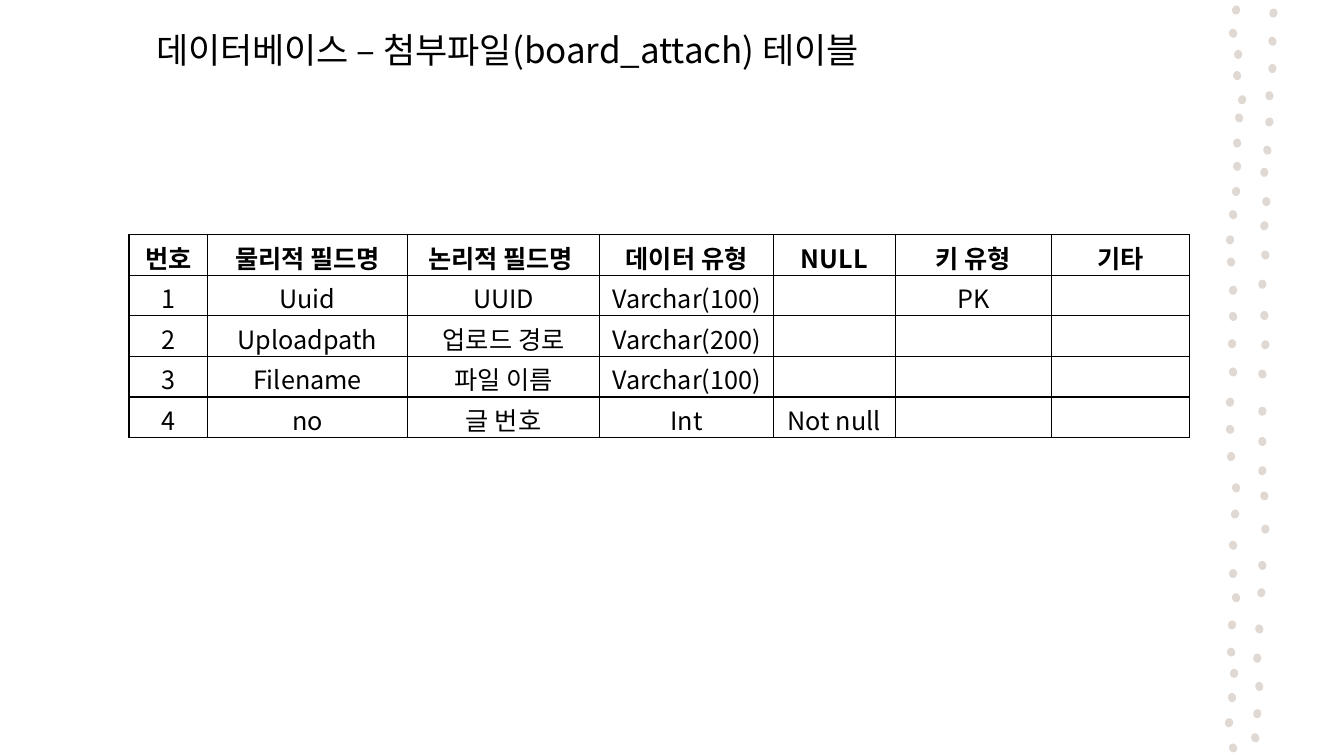
from lxml import etree
from pptx import Presentation
from pptx.dml.color import RGBColor
from pptx.enum import shapes as shape_enum
from pptx.enum import text as text_enum
from pptx.oxml.ns import qn
from pptx.util import Inches, Pt

TITLE = "데이터베이스 – 첨부파일(board_attach) 테이블"
FIELDS = [
    ("번호", "물리적 필드명", "논리적 필드명 ", "데이터 유형", "NULL", "키 유형", "기타"),
    ("1", "Uuid", "UUID", "Varchar(100)", "", "PK", ""),
    ("2", "Uploadpath", "업로드 경로", "Varchar(200)", "", "", ""),
    ("3", "Filename", "파일 이름", "Varchar(100)", "", "", ""),
    ("4", "no", "글 번호", "Int", "Not null", "", ""),
]
COLUMN_WIDTHS = (0.78, 1.98, 1.91, 1.72, 1.21, 1.55, 1.37)
ROW_HEIGHT = 0.4
TABLE_LEFT, TABLE_TOP = 1.28, 2.33

# Centres of the hand-drawn dots, each strand from top to bottom
LEFT_DOTS = [
    (12.26, 0.1), (12.23, 0.33), (12.28, 0.54), (12.27, 0.75), (12.32, 0.99),
    (12.29, 1.17), (12.27, 1.42), (12.27, 1.65), (12.26, 1.9), (12.23, 2.13),
    (12.2, 2.38), (12.21, 2.6), (12.23, 2.88), (12.23, 3.14), (12.22, 3.41),
    (12.23, 3.69), (12.2, 3.99), (12.2, 4.26), (12.21, 4.53), (12.26, 4.84),
    (12.25, 5.1), (12.23, 5.41), (12.23, 5.69), (12.26, 5.93), (12.22, 6.2),
    (12.21, 6.47), (12.24, 6.68), (12.22, 6.92), (12.19, 7.17), (12.23, 7.42),
]
RIGHT_DOTS = [
    (12.63, 0.13), (12.62, 0.41), (12.62, 0.68), (12.59, 0.95), (12.59, 1.21),
    (12.57, 1.49), (12.54, 1.71), (12.56, 2), (12.54, 2.24), (12.55, 2.53),
    (12.52, 2.82), (12.54, 3.13), (12.55, 3.42), (12.52, 3.71), (12.52, 4.08),
    (12.52, 4.38), (12.52, 4.67), (12.54, 4.92), (12.55, 5.25), (12.52, 5.61),
    (12.51, 5.88), (12.49, 6.24), (12.47, 6.53), (12.49, 6.81), (12.47, 7.08),
    (12.45, 7.32),
]
DOT_WIDTH, DOT_HEIGHT = 0.08, 0.09
DOT_TILTS = (15, -20, 5, -10)

COLORS = {"ink": "000000", "paper": "FFFFFF", "dot": "E0D8D2"}
FONT = "Noto Sans CJK KR"


def set_text(frame, words, size, align=text_enum.PP_ALIGN.LEFT, bold=False):
    frame.word_wrap = True
    paragraph = frame.paragraphs[0]
    paragraph.alignment = align
    paragraph.font.size = Pt(size)
    if not words:
        return
    run = paragraph.add_run()
    run.text = words
    run.font.name = FONT
    run.font.size = Pt(size)
    run.font.bold = bold
    run.font.color.rgb = RGBColor.from_string(COLORS["ink"])
    east_asian = etree.SubElement(run.font._element, qn("a:ea"))
    east_asian.set("typeface", FONT)


def add_dot(slide, center, tilt):
    dot = slide.shapes.add_shape(
        shape_enum.MSO_SHAPE.OVAL,
        Inches(center[0] - DOT_WIDTH / 2), Inches(center[1] - DOT_HEIGHT / 2),
        Inches(DOT_WIDTH), Inches(DOT_HEIGHT))
    dot.rotation = tilt
    dot.shadow.inherit = False
    dot.fill.solid()
    dot.fill.fore_color.rgb = RGBColor.from_string(COLORS["dot"])
    dot.line.fill.background()


def add_borders(cell):
    properties = cell._tc.get_or_add_tcPr()
    for index, side in enumerate(("lnL", "lnR", "lnT", "lnB")):
        line = etree.Element(qn(f"a:{side}"), w=str(Pt(1)))
        fill = etree.SubElement(line, qn("a:solidFill"))
        etree.SubElement(fill, qn("a:srgbClr"), val=COLORS["ink"])
        properties.insert(index, line)


def add_field_table(slide):
    frame = slide.shapes.add_table(
        len(FIELDS), len(COLUMN_WIDTHS), Inches(TABLE_LEFT), Inches(TABLE_TOP),
        Inches(sum(COLUMN_WIDTHS)), Inches(ROW_HEIGHT * len(FIELDS)))
    table = frame.table
    table.first_row = table.horz_banding = False
    for column, width in zip(table.columns, COLUMN_WIDTHS):
        column.width = Inches(width)
    for row_index, values in enumerate(FIELDS):
        table.rows[row_index].height = Inches(ROW_HEIGHT)
        for column_index, value in enumerate(values):
            cell = table.cell(row_index, column_index)
            cell.margin_left = cell.margin_right = Inches(0.05)
            cell.margin_top, cell.margin_bottom = Inches(0.04), 0
            cell.fill.solid()
            cell.fill.fore_color.rgb = RGBColor.from_string(COLORS["paper"])
            add_borders(cell)
            set_text(cell.text_frame, value, 18,
                     align=text_enum.PP_ALIGN.CENTER, bold=row_index == 0)


def main():
    presentation = Presentation()
    presentation.slide_width = Inches(13.33)
    presentation.slide_height = Inches(7.5)
    slide = presentation.slides.add_slide(presentation.slide_layouts[5])

    title = slide.shapes.title
    title.left, title.top = Inches(1.45), Inches(0.23)
    title.width, title.height = Inches(10.4), Inches(0.52)
    title.text_frame.vertical_anchor = text_enum.MSO_ANCHOR.MIDDLE
    title.text_frame.auto_size = text_enum.MSO_AUTO_SIZE.NONE
    set_text(title.text_frame, TITLE, 25)

    for strand in (LEFT_DOTS, RIGHT_DOTS):
        for index, center in enumerate(strand):
            add_dot(slide, center, DOT_TILTS[index % len(DOT_TILTS)])
    add_field_table(slide)
    presentation.save("out.pptx")


if __name__ == "__main__":
    main()
